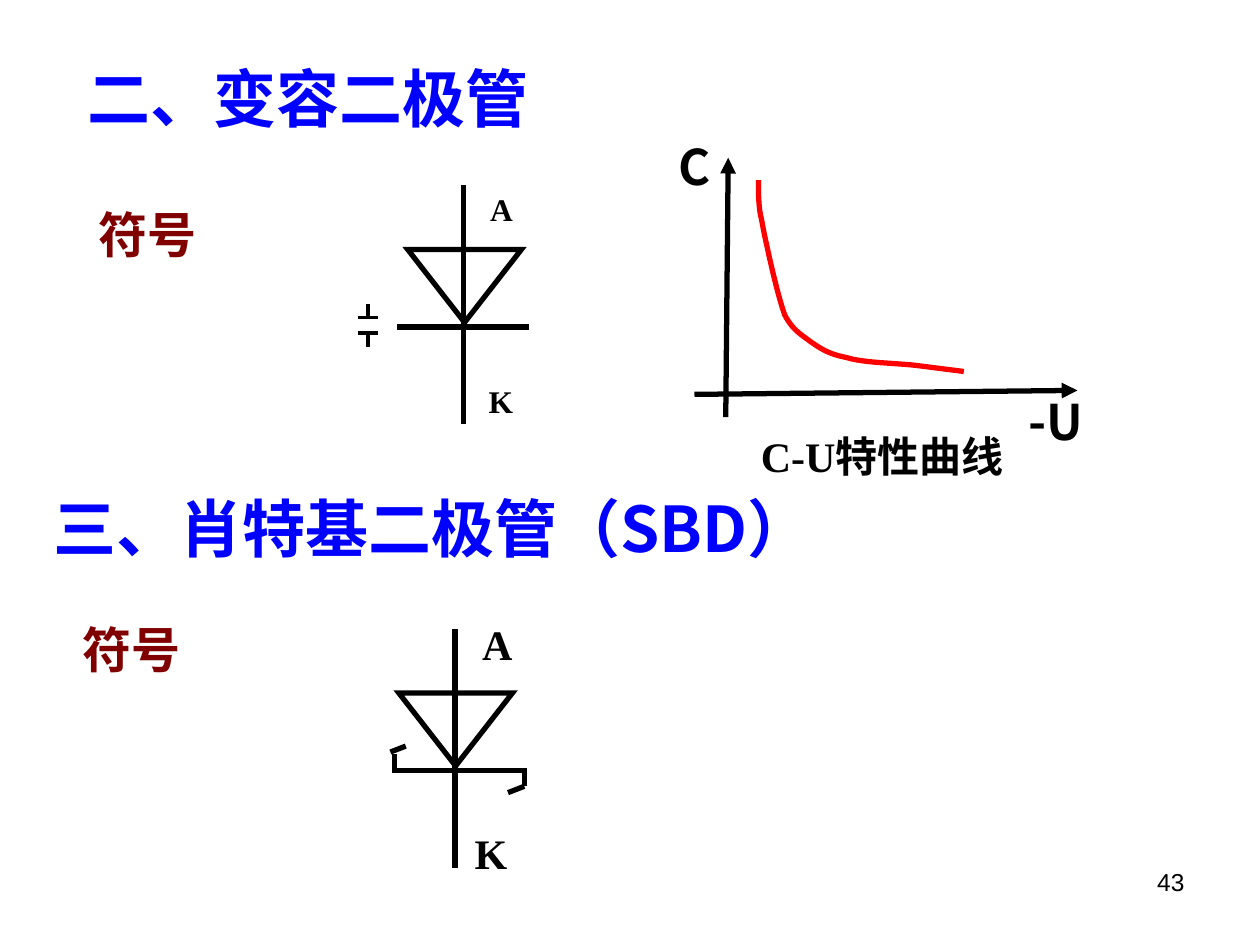
from lxml.etree import SubElement
from pptx import Presentation
from pptx.dml.color import RGBColor
from pptx.enum.shapes import MSO_CONNECTOR, MSO_SHAPE
from pptx.enum.text import MSO_ANCHOR, MSO_AUTO_SIZE, PP_ALIGN
from pptx.oxml.ns import qn
from pptx.util import Cm, Pt

HUES = {"black": "000000", "blue": "0000FF", "maroon": "800000", "red": "FF0000"}
SANS, SERIF = "Noto Sans CJK SC", "Times New Roman"

# Start point of the C-U curve, then Bezier segments (two handles and an end), in cm
START = (15.29, 3.63)
CURVE = [
    ((15.29, 3.84), (15.29, 4.04), (15.32, 4.27)),
    ((15.37, 4.5), (15.39, 4.65), (15.47, 5)),
    ((15.54, 5.33), (15.7, 6.02), (15.82, 6.35)),
    ((15.98, 6.65), (16.13, 6.73), (16.33, 6.88)),
    ((16.56, 7.04), (16.71, 7.14), (17.07, 7.21)),
    ((17.42, 7.32), (18.08, 7.32), (18.49, 7.37)),
    ((18.87, 7.42), (19.28, 7.47), (19.43, 7.49)),
]


def color(name):
    return RGBColor.from_string(HUES[name])


def write(shape, text, size, font=SERIF, hue="black", bold=True,
          align=PP_ALIGN.LEFT, anchor=MSO_ANCHOR.TOP):
    frame = shape.text_frame
    frame.word_wrap = True
    frame.auto_size = MSO_AUTO_SIZE.NONE
    frame.vertical_anchor = anchor
    frame.text = text
    para = frame.paragraphs[0]
    para.alignment = align
    para.font.size = Pt(size)
    para.font.name = font
    para.font.bold = bold
    para.font.color.rgb = color(hue)
    # East Asian typeface for the Chinese characters
    props = para._p.pPr.find(qn("a:defRPr"))
    SubElement(props, qn("a:ea"), typeface=SANS)


def label(shapes, box, text, size, **look):
    write(shapes.add_textbox(*map(Cm, box)), text, size, **look)


def stroke(shape, hue="black", width=3):
    shape.line.color.rgb = color(hue)
    shape.line.width = Pt(width)


def line(shapes, start, end, width=3, arrow=False):
    link = shapes.add_connector(MSO_CONNECTOR.STRAIGHT, *map(Cm, start + end))
    stroke(link, width=width)
    props = link._element.spPr
    if arrow:
        SubElement(props.find(qn("a:ln")), qn("a:tailEnd"), type="triangle")
    SubElement(props, qn("a:effectLst"))


def diode(shapes, x, top, left, right):
    """Axis, triangle and cathode bar; gives back the height of the bar."""
    bar = top + 2.86
    line(shapes, (x, top), (x, top + 4.82))
    line(shapes, (left, bar), (right, bar))
    body = shapes.add_shape(MSO_SHAPE.ISOSCELES_TRIANGLE, Cm(x - 1.13),
                            Cm(top + 1.3), Cm(2.29), Cm(1.47))
    body.rotation = 180
    body.shadow.inherit = False
    body.fill.background()
    stroke(body)
    SubElement(body._element.spPr.find(qn("a:ln")), qn("a:miter"), lim="800000")
    return bar


def varactor(shapes):
    diode(shapes, 9.35, 3.73, 8, 10.67)
    # Small capacitor mark
    for plate, tip in ((6.4, 6.12), (6.71, 6.99)):
        line(shapes, (7.21, plate), (7.62, plate), 2.25)
        line(shapes, (7.42, plate), (7.42, tip), 2.25)
    label(shapes, (9.63, 3.71, 0.9, 1.02), "A", 18)
    label(shapes, (9.6, 7.57, 0.9, 1.02), "K", 18)


def schottky(shapes):
    bar = diode(shapes, 9.17, 12.67, 7.9, 10.59)
    # Hooks at both ends of the bar
    line(shapes, (7.95, bar + 0.04), (7.95, bar - 0.34))
    line(shapes, (7.87, bar - 0.37), (8.18, bar - 0.49))
    line(shapes, (10.57, bar - 0.04), (10.57, bar + 0.32))
    line(shapes, (10.24, bar + 0.45), (10.57, bar + 0.32))
    label(shapes, (9.47, 12.34, 1.02, 1.27), "A", 24)
    label(shapes, (9.32, 16.56, 1.3, 1.27), "K", 24)


def trace(start, parts, steps=12):
    """Points along a chain of cubic Bezier segments."""
    for one, two, end in parts:
        for step in range(1, steps + 1):
            t = step / steps
            s = 1 - t
            yield tuple(
                Cm(s**3 * a + 3 * s * s * t * b + 3 * s * t * t * c + t**3 * d)
                for a, b, c, d in zip(start, one, two, end))
        start = end


def graph(shapes):
    # Axes
    line(shapes, (14.63, 8.41), (14.68, 3.18), arrow=True)
    line(shapes, (14, 7.95), (21.72, 7.87), arrow=True)
    # Curve
    build = shapes.build_freeform(*map(Cm, START))
    build.add_line_segments(list(trace(START, CURVE)), close=False)
    curve = build.convert_to_shape()
    curve.shadow.inherit = False
    curve.fill.background()
    stroke(curve, "red")
    # Names of axes and graph
    look = {"font": SANS, "align": PP_ALIGN.CENTER, "anchor": MSO_ANCHOR.MIDDLE}
    label(shapes, (20.29, 7.77, 2, 1.45), "-U", 28, **look)
    label(shapes, (13.31, 2.62, 1.4, 1.45), "C", 28, **look)
    label(shapes, (15.09, 8.56, 5.77, 1.27), "C-U特性曲线", 24)


def main():
    deck = Presentation()
    deck.slide_width, deck.slide_height = Cm(25.4), Cm(19.05)
    slide = deck.slides.add_slide(deck.slide_layouts[5])
    shapes = slide.shapes

    # Headings
    head = {"hue": "blue", "align": PP_ALIGN.CENTER, "anchor": MSO_ANCHOR.MIDDLE}
    title = shapes.title
    title.left, title.top, title.width, title.height = map(
        Cm, (-1.98, 0.81, 16.38, 2.31))
    write(title, "二、变容二极管", 36, font="Arial", **head)
    label(shapes, (-1.6, 9.47, 20.62, 2.31), "三、肖特基二极管（SBD）", 36,
          font=SANS, **head)

    # Symbol captions
    for left, top in ((1.73, 3.99), (1.42, 12.37)):
        label(shapes, (left, top, 3.76, 1.45), "符号", 28, hue="maroon")

    # Drawings, one group each
    for draw in (varactor, schottky, graph):
        draw(shapes.add_group_shape().shapes)

    # Page number
    label(shapes, (18.21, 17.35, 5.92, 1.32), "43", 14, font="Arial",
          bold=False, align=PP_ALIGN.RIGHT)
    deck.save("out.pptx")


if __name__ == "__main__":
    main()
